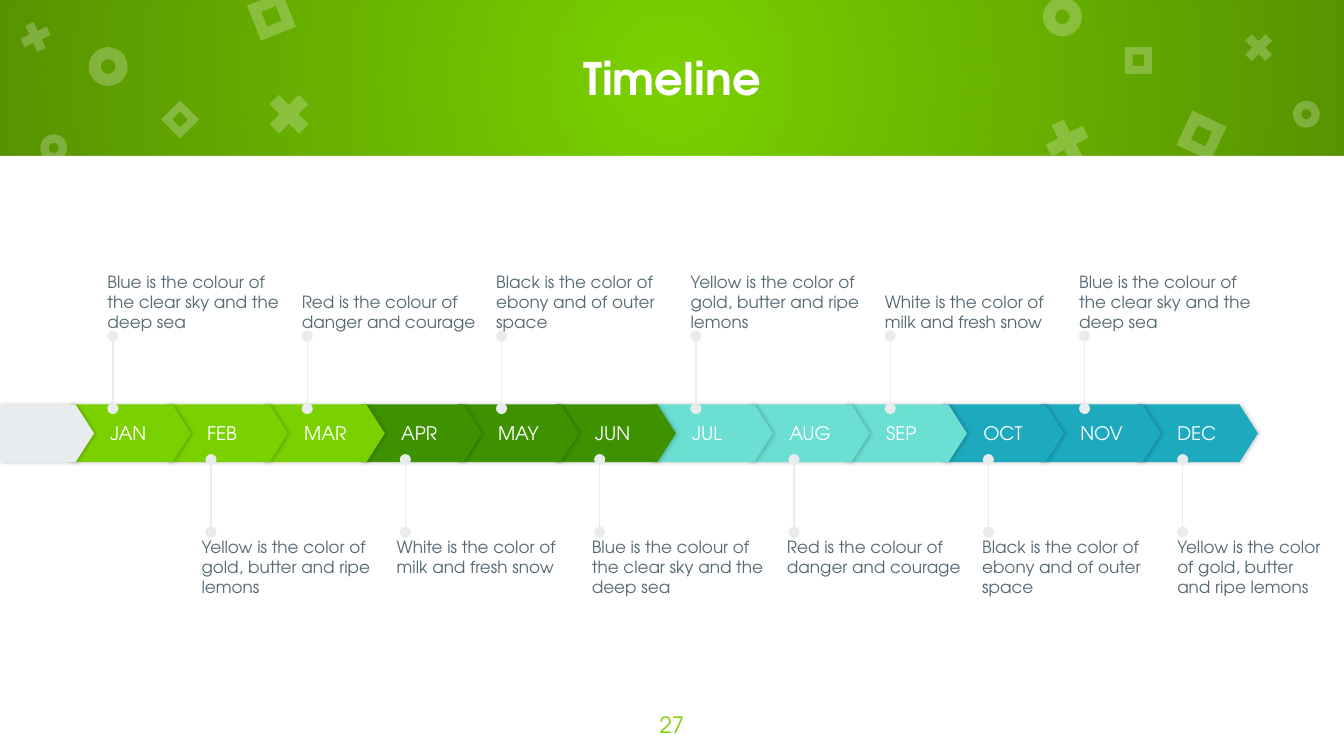
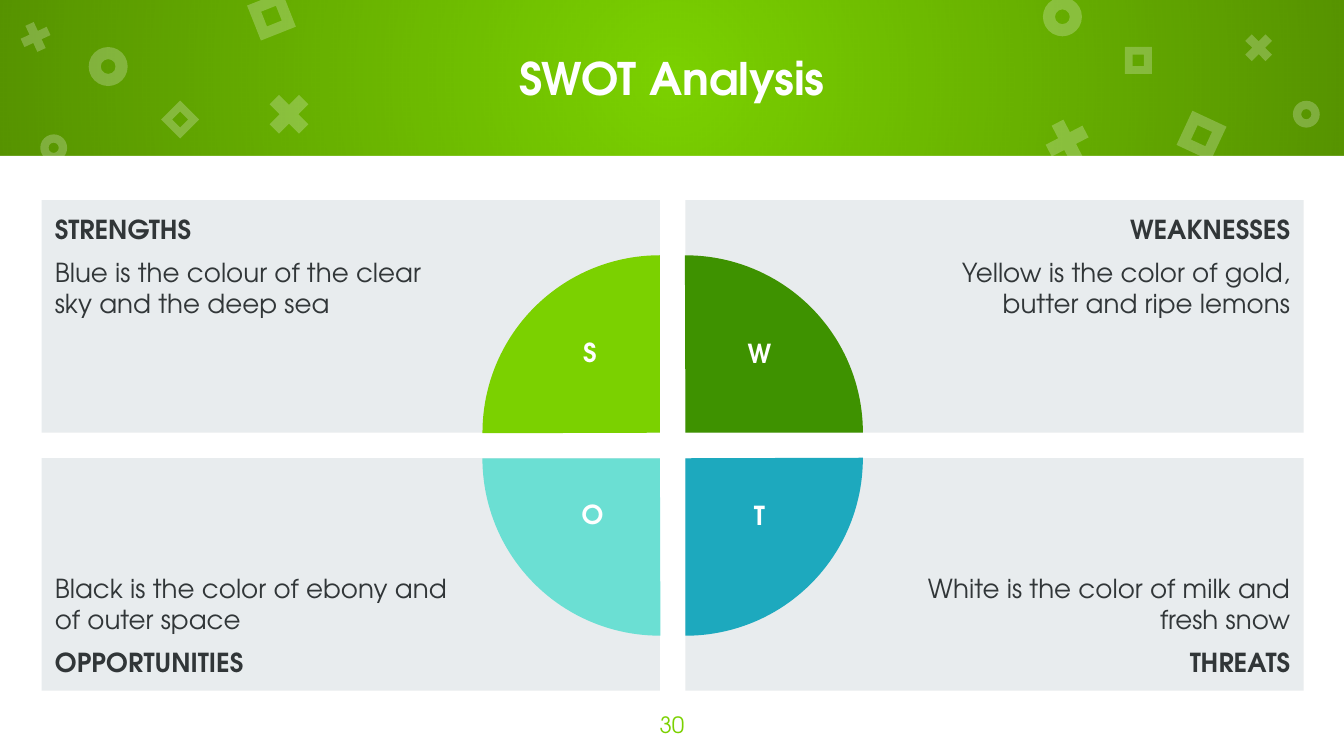
from lxml.etree import SubElement
from pptx import Presentation
from pptx.dml.color import RGBColor
from pptx.enum.shapes import MSO_CONNECTOR, MSO_SHAPE
from pptx.enum.text import MSO_ANCHOR, PP_ALIGN
from pptx.oxml import parse_xml
from pptx.oxml.ns import nsdecls, qn
from pptx.util import Inches, Pt

# Shared look, on a 16:9 slide
WIDTH, BAND = 10, 1.16
HEIGHT = WIDTH * 9 / 16
FONT = "TeX Gyre Adventor"
WHITE, GREY, SLATE, INK = "FFFFFF", "E8ECEE", "546973", "313638"
LIME, GREEN, AQUA, TEAL = "7BD100", "3E9200", "6BDFD3", "1DA9BE"
colour = RGBColor.from_string


def block(page, preset, place, fill, alpha=None, adjust=(), turn=0):
    shape = page.shapes.add_shape(preset, *map(Inches, place))
    shape.shadow.inherit = False
    shape.line.fill.background()
    shape.fill.solid()
    shape.fill.fore_color.rgb = colour(fill)
    if alpha:
        tint = shape._element.spPr.find(qn("a:solidFill"))[0]
        SubElement(tint, qn("a:alpha"), val=str(alpha * 1000))
    for index, value in enumerate(adjust):
        shape.adjustments[index] = value
    shape.rotation = turn
    return shape


def write(box, text, size, ink, bold_lines=(), align=PP_ALIGN.LEFT,
          anchor=MSO_ANCHOR.TOP, insets=(0, 0, 0, 0)):
    frame = box.text_frame
    frame.word_wrap = True
    frame.vertical_anchor = anchor
    (frame.margin_left, frame.margin_top,
     frame.margin_right, frame.margin_bottom) = map(Inches, insets)
    for index, line in enumerate(text.split("\n")):
        para = frame.paragraphs[0] if index == 0 else frame.add_paragraph()
        para.alignment = align
        if index:
            para.space_before = para.space_after = Pt(6)
        span = para.add_run()
        span.text = line
        span.font.name = FONT
        span.font.size = Pt(size)
        span.font.bold = index in bold_lines
        span.font.color.rgb = colour(ink)


deck = Presentation()
deck.slide_width, deck.slide_height = Inches(WIDTH), Inches(HEIGHT)

# Band ornaments: preset, adjustment, then left, top, size, rotation of each
ornaments = [
    (MSO_SHAPE.DONUT, 0.31, [(0.66, 0.35, 0.29, 0), (7.76, -0.02, 0.29, 0),
                             (0.3, 1, 0.2, 0), (9.62, 0.75, 0.2, 0)]),
    (MSO_SHAPE.MATH_MULTIPLY, 0.235, [(1.94, 0.64, 0.42, 0), (7.73, 0.84, 0.42, 17.5),
                                      (0.12, 0.13, 0.29, 20.4), (9.22, 0.21, 0.29, 0)]),
    (MSO_SHAPE.FRAME, 0.289, [(1.88, -0.02, 0.28, 338.4), (8.8, 0.87, 0.28, 25),
                              (1.24, 0.79, 0.2, 45), (8.37, 0.35, 0.2, 0)]),
]

# Background, band, title and page number of both slides
pages = []
for title, number in [("Timeline", "27"), ("SWOT Analysis", "30")]:
    page = deck.slides.add_slide(deck.slide_layouts[6])
    pages.append(page)
    page.background.fill.solid()
    page.background.fill.fore_color.rgb = colour(LIME)

    band = block(page, MSO_SHAPE.RECTANGLE, (0, 0, WIDTH, BAND), "000000")
    solid = band._element.spPr.find(qn("a:solidFill"))
    solid.getparent().replace(solid, parse_xml(
        f'<a:gradFill {nsdecls("a")}><a:gsLst>'
        '<a:gs pos="0"><a:srgbClr val="000000"><a:alpha val="0"/></a:srgbClr></a:gs>'
        '<a:gs pos="100000"><a:srgbClr val="000000"><a:alpha val="30000"/></a:srgbClr></a:gs>'
        '</a:gsLst><a:path path="circle">'
        '<a:fillToRect l="50000" t="50000" r="50000" b="50000"/></a:path></a:gradFill>'))
    block(page, MSO_SHAPE.RECTANGLE, (0, BAND, WIDTH, HEIGHT - BAND), WHITE)
    for preset, adjust, spots in ornaments:
        for left, top, size, turn in spots:
            block(page, preset, (left, top, size, size), WHITE, 24, [adjust], turn)

    box = page.shapes.add_textbox(*map(Inches, (0.5, 0, WIDTH - 1, BAND)))
    write(box, title, 24, WHITE, (0,), PP_ALIGN.CENTER, MSO_ANCHOR.MIDDLE, [0.1] * 4)
    box = page.shapes.add_textbox(*map(Inches, (4.7, HEIGHT - 0.43, 0.6, 0.43)))
    write(box, number, 12, LIME, align=PP_ALIGN.CENTER, insets=[0.1] * 4)

timeline, swot = pages

# Timeline arrows, the last month at the back
COLUMN = 7.94 / 11
months = "JAN FEB MAR APR MAY JUN JUL AUG SEP OCT NOV DEC".split()
quarters = [LIME, GREEN, AQUA, TEAL]
arrows = [(0.52 + i * COLUMN, 0.9, quarters[i // 3], month)
          for i, month in enumerate(months)]
arrows.insert(0, (0, 0.7, GREY, ""))
for left, width, fill, month in reversed(arrows):
    arrow = block(timeline, MSO_SHAPE.PENTAGON, (left, 3.01, width, 0.43), fill,
                  adjust=[0.32])
    arrow._element.spPr.find(qn("a:effectLst")).append(parse_xml(
        f'<a:outerShdw {nsdecls("a")} blurRad="28000" dist="10000" dir="0">'
        '<a:srgbClr val="000000"><a:alpha val="20000"/></a:srgbClr></a:outerShdw>'))
    if month:
        write(arrow, month, 10, WHITE, anchor=MSO_ANCHOR.MIDDLE, insets=(0.3, 0, 0, 0))

# Pins and notes above and below, each spread evenly from first to last
blue = "Blue is the colour of the clear sky and the deep sea"
red = "Red is the colour of danger and courage"
black = "Black is the color of ebony and of outer space"
yellow = "Yellow is the color of gold, butter and ripe lemons"
white = "White is the color of milk and fresh snow"
PIN_STEP = (8.07 - 0.84) / 5
sides = [
    (0.84, 3.04, 2.5, 0.8, 8.03, 1.89, MSO_ANCHOR.BOTTOM,
     [blue, red, black, yellow, white, blue]),
    (1.57, 3.96, 3.42, 1.5, 8.76, 3.99, MSO_ANCHOR.TOP,
     [yellow, white, blue, red, black, yellow]),
]
for pin_left, start, end, first, last, top, anchor, notes in sides:
    for index, note in enumerate(notes):
        x = pin_left + index * PIN_STEP
        pin = timeline.shapes.add_connector(
            MSO_CONNECTOR.STRAIGHT, *map(Inches, (x, start, x, end)))
        pin.line.width = Pt(0.75)
        pin.line.color.rgb = colour(GREY)
        for tip in ("a:headEnd", "a:tailEnd"):
            SubElement(pin.line._get_or_add_ln(), qn(tip), type="oval")
        SubElement(pin._element.spPr, qn("a:effectLst"))
        left = first + index * (last - first) / 5
        width = min(1.37, 9.89 - left) if top > 3 else 1.37
        box = timeline.shapes.add_textbox(*map(Inches, (left, top, width, 0.58)))
        write(box, note, 9, SLATE, anchor=anchor)

# SWOT panels: column, row, text, bold line
panels = [
    (0, 0, f"STRENGTHS\n{blue}", 0),
    (1, 0, f"WEAKNESSES\n{yellow}", 0),
    (0, 1, f"{black}\nOPPORTUNITIES", 1),
    (1, 1, f"{white}\nTHREATS", 1),
]
for column, row, text, bold_line in panels:
    place = (0.31 + column * 4.79, 1.49 + row * 1.92, 4.6, 1.73)
    panel = block(swot, MSO_SHAPE.RECTANGLE, place, GREY)
    write(panel, text, 14, INK, (bold_line,),
          PP_ALIGN.RIGHT if column else PP_ALIGN.LEFT,
          MSO_ANCHOR.BOTTOM if row else MSO_ANCHOR.TOP,
          (1.5, 0.1, 0.1, 0.1) if column else (0.1, 0.1, 1.5, 0.1))

# Quarter circles, clockwise from top left
quadrants = [(0, 0, LIME), (1, 0, GREEN), (1, 1, TEAL), (0, 1, AQUA)]
for index, (column, row, fill) in enumerate(quadrants):
    place = (3.59 + column * 0.19, 1.9 + row * 0.19, 2.64, 2.64)
    block(swot, MSO_SHAPE.PIE, place, fill, adjust=(107.89, 162), turn=index * 90)

# Quadrant letters
for letter, left, top, width in [("S", 4.2, 2.45, 0.38), ("W", 5.31, 2.46, 0.68),
                                 ("O", 4.16, 3.66, 0.5), ("T", 5.44, 3.67, 0.42)]:
    box = swot.shapes.add_textbox(*map(Inches, (left, top, width, 0.51)))
    write(box, letter, 14, WHITE, (0,), PP_ALIGN.CENTER, insets=(0.1, 0.05, 0.1, 0.05))

deck.save("out.pptx")
